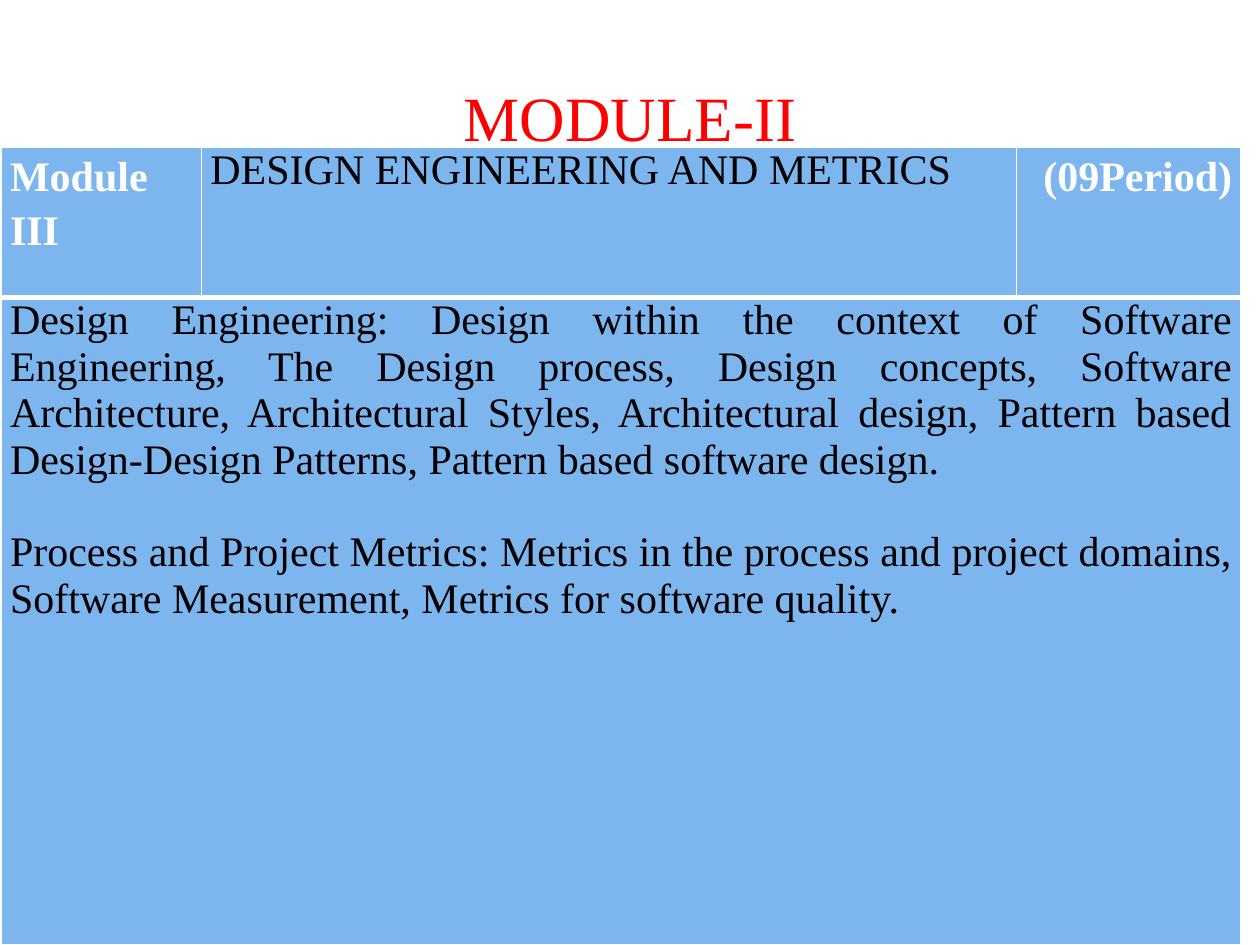
from lxml import etree
from pptx import Presentation
from pptx.dml.color import RGBColor
from pptx.enum.text import MSO_ANCHOR, PP_ALIGN
from pptx.oxml.ns import qn
from pptx.util import Inches, Pt

LEFT, CENTER, RIGHT, JUSTIFY = (
    PP_ALIGN.LEFT, PP_ALIGN.CENTER, PP_ALIGN.RIGHT, PP_ALIGN.JUSTIFY)
MIDDLE, TOP = MSO_ANCHOR.MIDDLE, MSO_ANCHOR.TOP

FONT = "Times New Roman"
WHITE, BLACK, RED, BLUE = "FFFFFF", "000000", "FF0000", "7DB6EF"
COLS = [1.59, 6.47, 1.78]
ROWS = [1.19, 5.14]
THIN, THICK = 1, 3

TOPICS = [
    "Design Engineering: Design within the context of Software Engineering, "
    "The Design process, Design concepts, Software Architecture, "
    "Architectural Styles, Architectural design, Pattern based "
    "Design-Design Patterns, Pattern based software design.",
    "Process and Project Metrics: Metrics in the process and project domains, "
    "Software Measurement, Metrics for software quality.",
]


def color(value):
    return RGBColor.from_string(value)


def write(tf, *texts, size=24, ink=BLACK, bold=False, align=LEFT,
          spacing=None, after=None, gap=0):
    """Write one paragraph per text, with a gap between paragraphs."""
    for i, text in enumerate(texts):
        p = tf.add_paragraph() if i else tf.paragraphs[0]
        p.alignment = align
        p.line_spacing = spacing
        p.space_before = Pt(gap if i else 0)
        if after is not None:
            p.space_after = Pt(after)
        r = p.add_run()
        r.text = text
        r.font.name, r.font.size, r.font.bold = FONT, Pt(size), bold
        r.font.color.rgb = color(ink)


def set_borders(cell, **widths):
    """Draw white cell borders; each side is given its width in points."""
    tc_pr = cell._tc.get_or_add_tcPr()
    for i, (side, width) in enumerate(widths.items()):
        ln = etree.Element(qn(f"a:ln{side}"), w=str(Pt(width)))
        fill = etree.SubElement(ln, qn("a:solidFill"))
        etree.SubElement(fill, qn("a:srgbClr"), val=WHITE)
        tc_pr.insert(i, ln)


def add_title(s, text):
    title = s.shapes.title
    title.left, title.top = Inches(0.5), Inches(0.3)
    title.width, title.height = Inches(9), Inches(1.25)
    title.text_frame.vertical_anchor = MIDDLE
    write(title.text_frame, text, size=36, ink=RED, align=CENTER)


def add_grid(s, left, top):
    """Add the table with its fills, margins and borders."""
    table = s.shapes.add_table(
        len(ROWS), len(COLS), Inches(left), Inches(top),
        Inches(sum(COLS)), Inches(sum(ROWS))).table
    for col, width in zip(table.columns, COLS):
        col.width = Inches(width)
    for i, (row, height) in enumerate(zip(table.rows, ROWS)):
        row.height = Inches(height)
        for cell in row.cells:
            cell.fill.solid()
            cell.fill.fore_color.rgb = color(BLUE)
            cell.margin_left = cell.margin_right = Inches(0.07)
            cell.margin_top = cell.margin_bottom = 0
            cell.vertical_anchor = TOP
            set_borders(cell, L=THIN, R=THIN, T=THICK if i else THIN,
                        B=THIN if i else THICK)
    return table


def main():
    prs = Presentation()
    prs.slide_width, prs.slide_height = Inches(10), Inches(7.5)
    s = prs.slides.add_slide(prs.slide_layouts[5])
    add_title(s, "MODULE-II")

    # Module heading row
    table = add_grid(s, 0.01, 1.17)
    label = dict(ink=WHITE, bold=True, spacing=1.15, after=6)
    module, subject, periods = [c.text_frame for c in table.rows[0].cells]
    write(module, "Module III", **label)
    write(subject, "DESIGN ENGINEERING AND METRICS", align=JUSTIFY)
    write(periods, "(09Period)", align=RIGHT, **label)

    # Topics across the full width
    topics = table.cell(1, 0)
    topics.merge(table.cell(1, len(COLS) - 1))
    write(topics.text_frame, *TOPICS, align=JUSTIFY, gap=26.5)

    prs.save("out.pptx")


if __name__ == "__main__":
    main()
